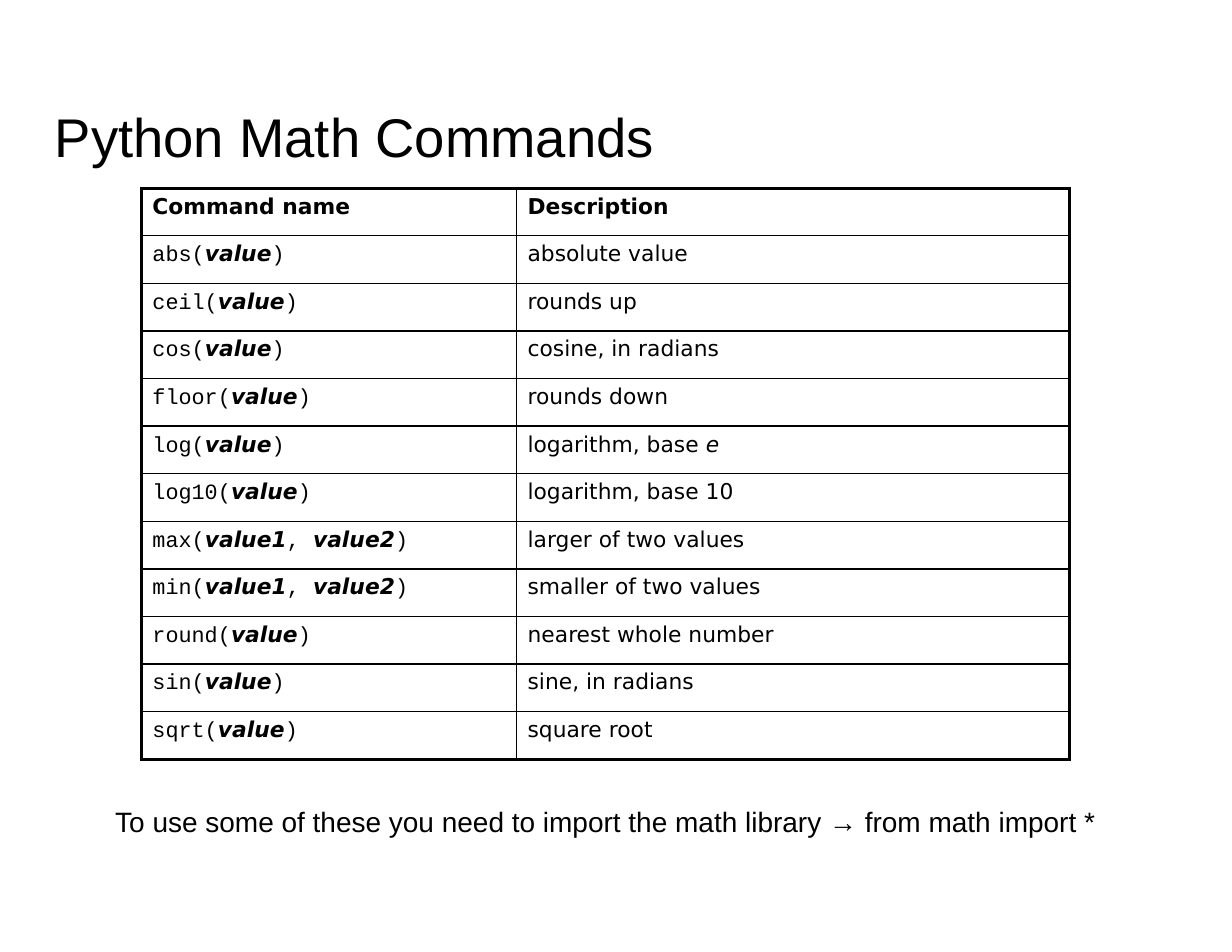
from dataclasses import dataclass

from lxml import etree
from pptx import Presentation
from pptx import util as u
from pptx.dml import color
from pptx.enum import text
from pptx.oxml import ns

Pt = u.Pt
BLACK = "000000"
BODY_FONT = "DejaVu Sans"
CODE_FONT = "Courier New"
OUTER_LINE, INNER_LINE = 2.25, 1


@dataclass
class Label:
    content: str
    left: float
    top: float
    width: float
    height: float
    size: float
    inset: tuple[float, float]
    anchor: text.MSO_ANCHOR
    wrap: bool


@dataclass
class Command:
    usage: str  # parameters stand between asterisks
    description: str  # italics stand between asterisks


TITLE = Label("Python Math Commands", 26.6, 53.3, 738, 68.4, 35,
              (8.64, 8.64), text.MSO_ANCHOR.MIDDLE, True)
IMPORT_NOTE = Label(
    "To use some of these you need to import the math library → from math import *",
    67, 513.4, 657.4, 28.8, 18, (7.2, 3.6), text.MSO_ANCHOR.TOP, False)

COMMANDS = [
    Command("abs(*value*)", "absolute value"),
    Command("ceil(*value*)", "rounds up"),
    Command("cos(*value*)", "cosine, in radians"),
    Command("floor(*value*)", "rounds down"),
    Command("log(*value*)", "logarithm, base *e*"),
    Command("log10(*value*)", "logarithm, base 10"),
    Command("max(*value1*, *value2*)", "larger of two values"),
    Command("min(*value1*, *value2*)", "smaller of two values"),
    Command("round(*value*)", "nearest whole number"),
    Command("sin(*value*)", "sine, in radians"),
    Command("sqrt(*value*)", "square root"),
]
COLUMN_WIDTHS = (241.2, 355.6)
ROW_HEIGHT = 30.6


def rgb(value: str) -> color.RGBColor:
    return color.RGBColor.from_string(value)


def add_label(slide, label: Label) -> None:
    shape = slide.shapes.add_textbox(Pt(label.left), Pt(label.top),
                                     Pt(label.width), Pt(label.height))
    frame = shape.text_frame
    frame.word_wrap = label.wrap
    frame.vertical_anchor = label.anchor
    frame.margin_left = frame.margin_right = Pt(label.inset[0])
    frame.margin_top = frame.margin_bottom = Pt(label.inset[1])
    paragraph = frame.paragraphs[0]
    paragraph.text = label.content
    paragraph.font.name = "Arial"
    paragraph.font.size = Pt(label.size)
    paragraph.font.color.rgb = rgb(BLACK)


def set_borders(cell, widths: dict[str, float]) -> None:
    properties = cell._tc.get_or_add_tcPr()
    for index, (side, width) in enumerate(widths.items()):
        line = etree.Element(ns.qn(f"a:ln{side}"), w=str(Pt(width)))
        fill = etree.SubElement(line, ns.qn("a:solidFill"))
        etree.SubElement(fill, ns.qn("a:srgbClr"), val=BLACK)
        properties.insert(index, line)


def set_space_before(paragraph, percent: int) -> None:
    space = etree.SubElement(paragraph._p.get_or_add_pPr(), ns.qn("a:spcBef"))
    etree.SubElement(space, ns.qn("a:spcPct"), val=str(percent * 1000))


def fill_cell(cell, content: str, is_code: bool, is_header: bool) -> None:
    cell.fill.background()
    paragraph = cell.text_frame.paragraphs[0]
    set_space_before(paragraph, 20)
    for index, part in enumerate(content.split("*")):
        if not part:
            continue
        emphasized = index % 2 == 1
        run = paragraph.add_run()
        run.text = part
        font = run.font
        font.name = CODE_FONT if is_code and not emphasized else BODY_FONT
        font.size = Pt(14)
        font.bold = is_header or (is_code and emphasized)
        font.italic = emphasized
        font.color.rgb = rgb(BLACK)


def add_command_table(slide, left: float, top: float) -> None:
    rows = [Command("Command name", "Description"), *COMMANDS]
    last_row, last_column = len(rows) - 1, len(COLUMN_WIDTHS) - 1
    table = slide.shapes.add_table(
        len(rows), len(COLUMN_WIDTHS), Pt(left), Pt(top),
        Pt(sum(COLUMN_WIDTHS)), Pt(ROW_HEIGHT * len(rows))).table
    table.first_row = table.horz_banding = False
    for column, width in zip(table.columns, COLUMN_WIDTHS):
        column.width = Pt(width)
    for i, command in enumerate(rows):
        table.rows[i].height = Pt(ROW_HEIGHT)
        for j, content in enumerate((command.usage, command.description)):
            cell = table.cell(i, j)
            fill_cell(cell, content, is_code=i > 0 and j == 0, is_header=i == 0)
            on_edge = {"L": j == 0, "R": j == last_column,
                       "T": i == 0, "B": i == last_row}
            set_borders(cell, {side: OUTER_LINE if outer else INNER_LINE
                               for side, outer in on_edge.items()})


def main() -> None:
    presentation = Presentation()
    presentation.slide_width, presentation.slide_height = Pt(792), Pt(612)
    slide = presentation.slides.add_slide(presentation.slide_layouts[6])

    # Heading, command table and import hint
    add_label(slide, TITLE)
    add_command_table(slide, left=90.8, top=121)
    add_label(slide, IMPORT_NOTE)

    presentation.save("out.pptx")


if __name__ == "__main__":
    main()
